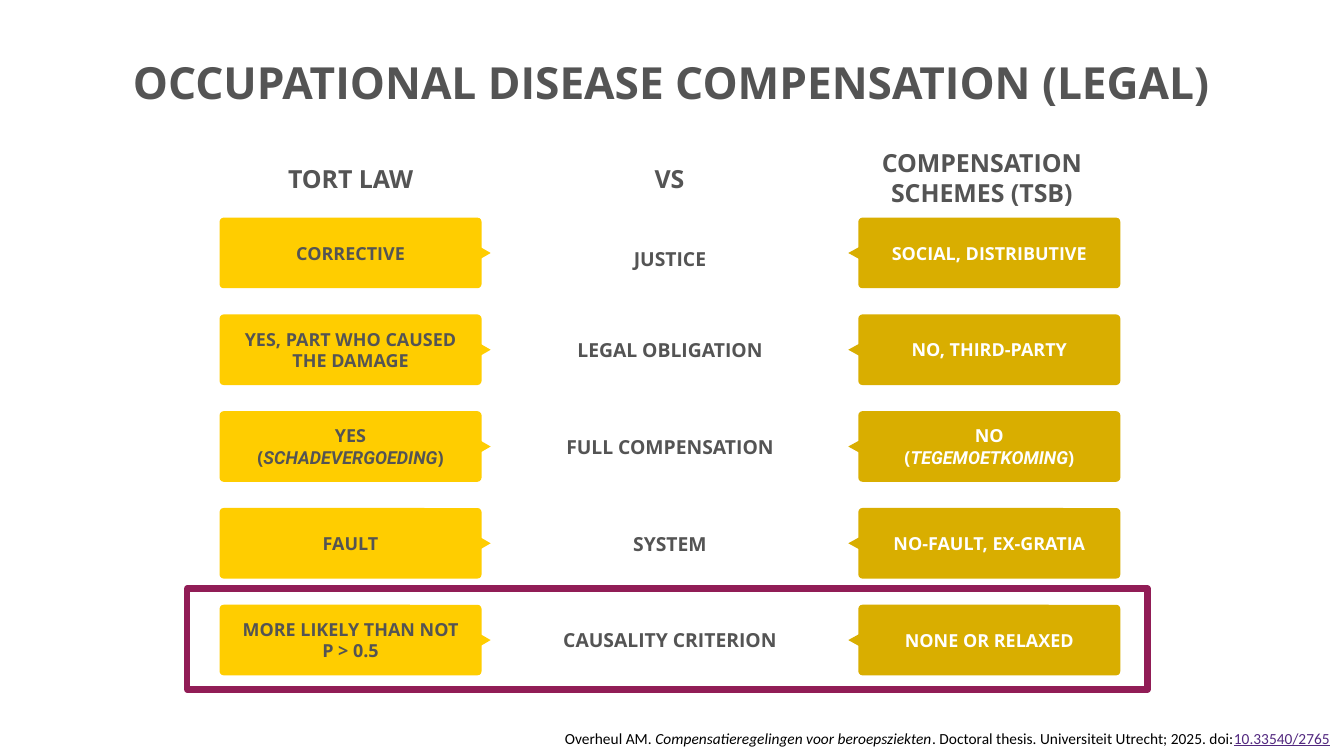
from pptx import Presentation, util as u
from pptx.dml.color import RGBColor
from pptx.enum import shapes, text

# Content: asterisks enclose italic words, a newline starts a paragraph
TITLE = "OCCUPATIONAL DISEASE COMPENSATION (LEGAL)"
HEADS = [  # text, left, top, width, height
    ("TORT LAW", 2.18, 1.62, 2.6, 0.29),
    ("COMPENSATION SCHEMES (TSB)", 8.37, 1.47, 2.75, 0.59),
    ("VS", 5.27, 1.62, 2.75, 0.29),
]
ROWS = [  # tort law, its line count, topic, scheme, its line count
    ("CORRECTIVE", 1, "JUSTICE", "SOCIAL, DISTRIBUTIVE", 1),
    ("YES, PART WHO CAUSED THE DAMAGE", 2, "LEGAL OBLIGATION",
     "NO, THIRD-PARTY", 1),
    ("YES\n(*SCHADEVERGOEDING*)", 2, "FULL COMPENSATION",
     "NO\n(*TEGEMOETKOMING*)", 2),
    ("FAULT", 1, "SYSTEM", "NO-FAULT, EX-GRATIA", 1),
    ("MORE LIKELY THAN NOT P > 0.5", 2, "CAUSALITY CRITERION",
     "NONE OR RELAXED", 1),
]
CITE = ("Overheul AM. *Compensatieregelingen voor beroepsziekten*"
        ". Doctoral thesis. Universiteit Utrecht; 2025. doi:")
DOI = "10.33540/2765"

# Colours and layout
GRAY, WHITE, BLACK = "545454", "FFFFFF", "000000"
YELLOW, GOLD, PLUM, VIOLET = "FFCD00", "D9AE00", "911D56", "52287F"
TOP, STEP, HIGH, WIDE = 2.16, 0.96, 0.7, 2.6
LEFT, RIGHT, MID = 2.18, 8.52, 6.65
INK = {"name": "Open Sans", "bold": True}
PLAIN = {"name": "Calibri", "size": u.Pt(11)}

deck = Presentation()
deck.slide_width, deck.slide_height = u.Inches(13.34), u.Inches(7.5)
slide = deck.slides.add_slide(deck.slide_layouts[6])
parts = slide.shapes


def rgb(code):
    return RGBColor.from_string(code)


def paint(shape, fill):
    shape.shadow.inherit = False
    shape.fill.solid()
    shape.fill.fore_color.rgb = rgb(fill)
    shape.line.fill.background()


def block(x, y, w, h, fill, curve=0.04):
    box = parts.add_shape(shapes.MSO_SHAPE.ROUNDED_RECTANGLE,
                          *map(u.Inches, (x, y, w, h)))
    box.adjustments[0] = curve / min(w, h)
    paint(box, fill)


def arrow(base, tip, y, fill):
    path = parts.build_freeform(u.Inches(tip), u.Inches(y))
    path.add_line_segments([(u.Inches(base), u.Inches(y + d))
                            for d in (-0.11, 0.11)], close=True)
    paint(path.convert_to_shape(), fill)


def add_run(para, words, color, style):
    run = para.add_run()
    run.text = words
    for key, val in style.items():
        setattr(run.font, key, val)
    run.font.color.rgb = rgb(color)


def label(words, x, y, w, h, color, style, slant, pitch=None,
          align=text.PP_ALIGN.CENTER):
    frame = parts.add_textbox(*map(u.Inches, (x, y, w, h))).text_frame
    frame.word_wrap = True
    for side in ("left", "right", "top", "bottom"):
        setattr(frame, "margin_" + side, 0)
    for n, line in enumerate(words.split("\n")):
        para = frame.add_paragraph() if n else frame.paragraphs[0]
        para.alignment = align
        if pitch:
            para.line_spacing = u.Pt(pitch)
        for k, bit in enumerate(line.split("*")):
            add_run(para, bit, color, {**style, **slant} if k % 2 else style)
    return para


def bold(words, x, y, w, h, size, pitch, color=GRAY):
    label(words, x, y, w, h, color, {**INK, "size": u.Pt(size)},
          {"name": "Roboto", "italic": True}, pitch)


# Title, column heads and the panel between the columns
bold(TITLE, 1.15, 0.55, 11.02, 0.51, 31.6, 37.9)
for head in HEADS:
    bold(*head, 17.8, 21.3)
block(5.19, TOP, 2.91, 4.54, WHITE)

# Rows: two blocks that point at the topic between them
for i, (tort, tall, topic, scheme, deep) in enumerate(ROWS):
    y = TOP + i * STEP
    mid = y + HIGH / 2
    block(LEFT, y, WIDE, HIGH, YELLOW)
    block(RIGHT, y, WIDE, HIGH, GOLD)
    arrow(4.68, 4.87, mid, YELLOW)
    arrow(8.62, 8.42, mid, GOLD)
    for words, x, count, color in ((tort, LEFT, tall, GRAY),
                                   (scheme, RIGHT, deep, WHITE)):
        h = 0.215 * count
        bold(words, x + 0.165, mid - h / 2, 2.27, h, 12.8, 15.4, color)
    drop = 0.06 if i == 0 else 0  # first topic sits slightly lower
    bold(topic, MID - 1.385, mid - 0.115 + drop, 2.77, 0.23, 13.8, 16.6)

# Citation
cite = label(CITE, 5.51, 7.23, 7.69, 0.19, BLACK, PLAIN, {"italic": True},
             align=text.PP_ALIGN.RIGHT)
add_run(cite, DOI, VIOLET, {**PLAIN, "underline": True})

# Frame around the last row
frame = parts.add_shape(shapes.MSO_SHAPE.RECTANGLE,
                        *map(u.Inches, (1.86, 5.84, 9.53, 1)))
frame.shadow.inherit = False
frame.fill.background()
frame.line.color.rgb = rgb(PLUM)
frame.line.width = u.Pt(4.5)

deck.save("out.pptx")
